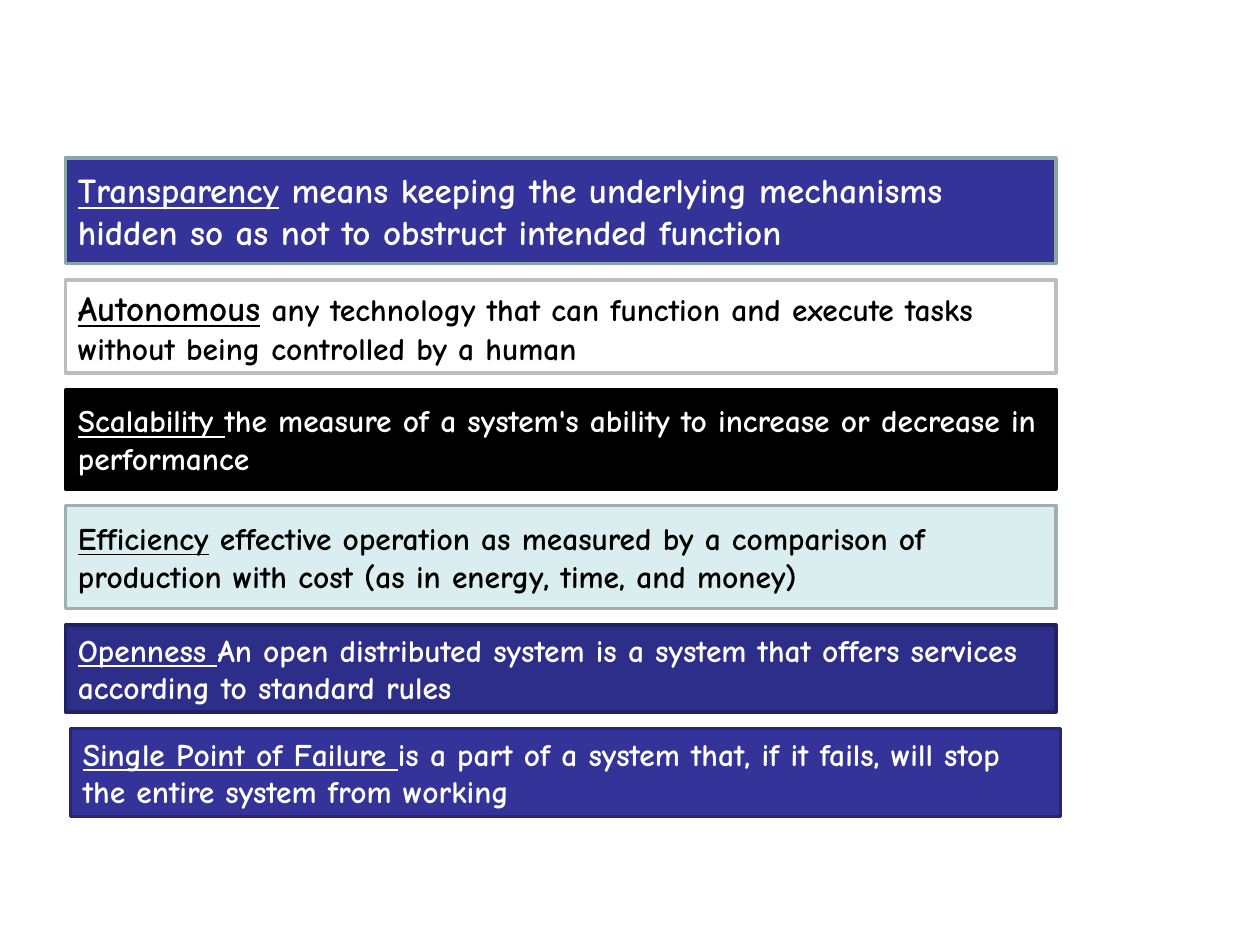
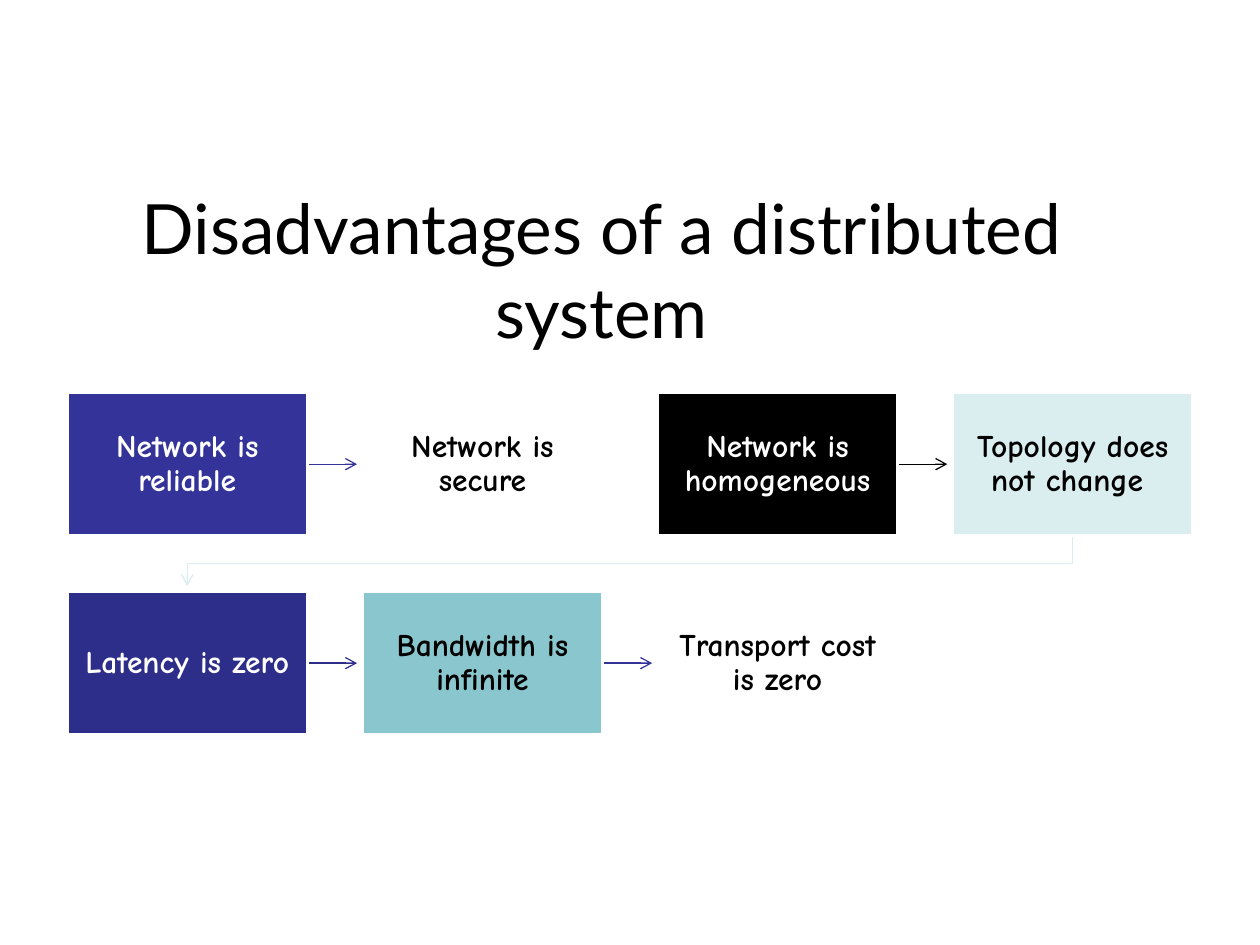
from dataclasses import dataclass

from lxml import etree
from pptx import Presentation, util as u
from pptx.dml.color import RGBColor
from pptx.enum import shapes, text
from pptx.oxml import ns

W, H = 10, 7.5
BODY_FONT, TITLE_FONT = "Comic Neue", "Lato"
C = {
    "white": "FFFFFF", "black": "000000", "indigo": "333399", "navy": "2D2D8A",
    "ice": "DAEDEF", "teal": "8AC6CD", "sage": "8AA6A8", "silver": "BDBDBD",
    "mist": "A1AFB1", "indigo_edge": "262671", "navy_edge": "212166",
}

DEFINITIONS = [
    ("Transparency", " means keeping the underlying mechanisms hidden so as not to "
     "obstruct intended function", "indigo", "sage", "white", 84, 20, 20),
    ("Autonomous", " any technology that can function and execute tasks without being "
     "controlled by a human", "white", "silver", "black", 74, 20, 18),
    ("Scalability ", "the measure of a system's ability to increase or decrease in "
     "performance", "black", "black", "white", 79, 18, 18),
    ("Efficiency", " effective operation as measured by a comparison of production with "
     "cost (as in energy, time, and money)", "ice", "mist", "black", 82, 18, 18),
    ("Openness ", "An open distributed system is a system that offers services according "
     "to standard rules", "navy", "navy_edge", "white", 69, 18, 18),
    ("Single Point of Failure ", "is a part of a system that, if it fails, will stop the "
     "entire system from working", "indigo", "indigo_edge", "white", 70, 18, 18),
]
BAR_GAP = 13
LAST_BAR_SHIFT = 0.005

FALLACIES = [
    ("Network is reliable", "indigo", "white", "indigo"),
    ("Network is secure", "white", "black", "white"),
    ("Network is homogeneous", "black", "white", "black"),
    ("Topology does not change ", "ice", "black", "ice"),
    ("Latency is zero", "navy", "white", "navy"),
    ("Bandwidth is infinite", "teal", "black", "indigo"),
    ("Transport cost is zero", "white", "black", None),
]
COLUMNS, ROWS = 4, 2
ARROW_START, ARROW_END = 0.02, 0.91


@dataclass
class Box:
    x: float
    y: float
    w: float
    h: float

    def share(self, x, y, w, h):
        return Box(self.x + x * self.w, self.y + y * self.h, w * self.w, h * self.h)

    def emu(self):
        return [u.Inches(v) for v in (self.x, self.y, self.w, self.h)]


SLIDE = Box(0, 0, W, H)
BARS = SLIDE.share(0.052, 0.167, 0.786, 0.697)
TITLE = SLIDE.share(0.092, 0.208, 0.771, 0.153)
FLOW = SLIDE.share(0.053, 0.415, 0.894, 0.363)


def rgb(name):
    return RGBColor.from_string(C[name])


def add_text(p, words, size=18, color="black", font=BODY_FONT, bold=True, underline=False):
    r = p.add_run()
    r.text = words
    r.font.size, r.font.name = u.Pt(size), font
    r.font.bold, r.font.underline = bold, underline
    r.font.color.rgb = rgb(color)
    return r


def add_panel(s, box, fill, line, align):
    sp = s.shapes.add_shape(shapes.MSO_SHAPE.RECTANGLE, *box.emu())
    sp.shadow.inherit = False
    sp.fill.solid()
    sp.fill.fore_color.rgb = rgb(fill)
    sp.line.color.rgb = rgb(line)
    sp.line.width = u.Pt(2)
    tf = sp.text_frame
    tf.word_wrap = True
    tf.vertical_anchor = text.MSO_ANCHOR.MIDDLE
    p = tf.paragraphs[0]
    p.alignment = align
    return p


def add_arrow(s, points, color):
    pts = [(u.Inches(x), u.Inches(y)) for x, y in points]
    if len(pts) == 2:
        sp = s.shapes.add_connector(shapes.MSO_CONNECTOR.STRAIGHT, *pts[0], *pts[1])
    else:
        builder = s.shapes.build_freeform(*pts[0])
        builder.add_line_segments(pts[1:], close=False)
        sp = builder.convert_to_shape()
        sp.fill.background()
    sp.line.color.rgb = rgb(color)
    sp.line.width = u.Pt(0.75)
    sp_pr = sp._element.spPr
    etree.SubElement(sp_pr.find(ns.qn("a:ln")), ns.qn("a:tailEnd"), type="arrow")
    etree.SubElement(sp_pr, ns.qn("a:effectLst"))


def add_title(s, box, words):
    sp = s.shapes.title
    sp.left, sp.top, sp.width, sp.height = box.emu()
    tf = sp.text_frame
    tf.word_wrap = True
    tf.auto_size = text.MSO_AUTO_SIZE.NONE
    tf.vertical_anchor = text.MSO_ANCHOR.MIDDLE
    p = tf.paragraphs[0]
    p.alignment = text.PP_ALIGN.CENTER
    add_text(p, words, size=39.6, font=TITLE_FONT, bold=False)


def add_definitions(s, box):
    total = sum(d[5] for d in DEFINITIONS) + BAR_GAP * (len(DEFINITIONS) - 1)
    top = 0
    for i, (term, meaning, fill, line, color, rows, term_size, size) in enumerate(DEFINITIONS):
        shift = LAST_BAR_SHIFT if i == len(DEFINITIONS) - 1 else 0
        bar = box.share(shift, top / total, 1, rows / total)
        p = add_panel(s, bar, fill, line, text.PP_ALIGN.LEFT)
        add_text(p, term, size=term_size, color=color, underline=True)
        add_text(p, meaning, size=size, color=color)
        top += rows + BAR_GAP


def add_flow(s, box):
    cell_w, cell_h = 0.214, 0.42
    gap_w = (1 - COLUMNS * cell_w) / (COLUMNS - 1)
    gap_h = (1 - ROWS * cell_h) / (ROWS - 1)
    for i, (words, fill, color, arrow) in enumerate(FALLACIES):
        row, col = divmod(i, COLUMNS)
        cell = box.share(col * (cell_w + gap_w), row * (cell_h + gap_h), cell_w, cell_h)
        p = add_panel(s, cell, fill, "white", text.PP_ALIGN.CENTER)
        p.line_spacing = 0.9
        add_text(p, words, color=color)
        if not arrow:
            continue
        if col < COLUMNS - 1:
            right, gap, y = cell.x + cell.w, gap_w * box.w, cell.y + cell.h / 2
            points = [(right + k * gap, y) for k in (ARROW_START, ARROW_END)]
        else:
            x, first_x = cell.x + cell.w / 2, box.x + cell.w / 2
            start, middle, end = (cell.y + cell.h + k * gap_h * box.h
                                  for k in (ARROW_START, 0.5, ARROW_END))
            points = [(x, start), (x, middle), (first_x, middle), (first_x, end)]
        add_arrow(s, points, arrow)


def main():
    prs = Presentation()
    prs.slide_width, prs.slide_height = u.Inches(W), u.Inches(H)
    title_only, blank = prs.slide_layouts[5], prs.slide_layouts[6]

    s = prs.slides.add_slide(blank)
    add_definitions(s, BARS)

    s = prs.slides.add_slide(title_only)
    add_title(s, TITLE, "Disadvantages of a distributed system")
    add_flow(s, FLOW)

    prs.save("out.pptx")


if __name__ == "__main__":
    main()
